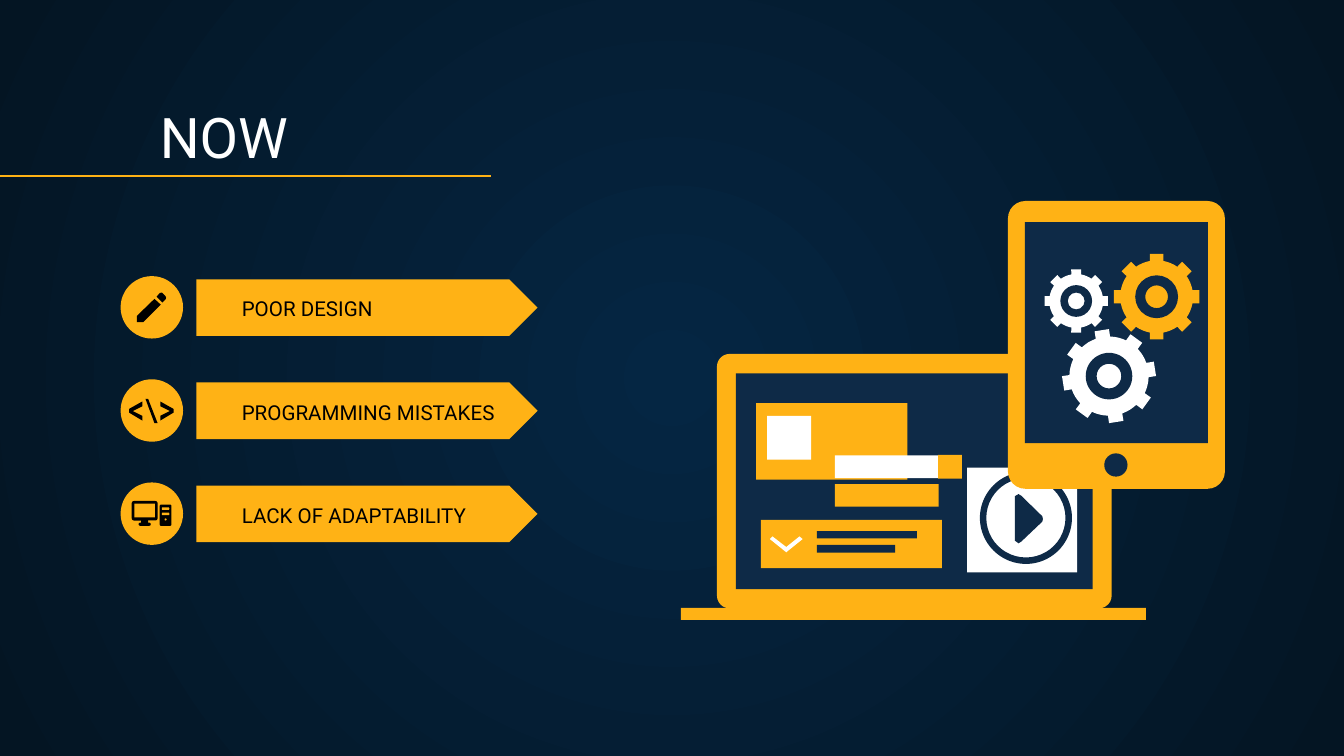
from dataclasses import dataclass
from math import asin, cos, radians, degrees, sin

from lxml import etree
from pptx import Presentation
from pptx import util as u
from pptx.dml.color import RGBColor
from pptx.enum import shapes, text
from pptx.oxml.ns import qn


@dataclass(frozen=True)
class Theme:
    amber: str = "FFB215"
    navy: str = "0E2A47"
    white: str = "FFFFFF"
    black: str = "000000"
    glow: str = "052643"
    edge: str = "041523"
    font: str = "Roboto"
    title_size: int = 30
    label_size: int = 11


theme = Theme()
kind = shapes.MSO_SHAPE

prs = Presentation()
prs.slide_width, prs.slide_height = u.Cm(25.4), u.Cm(14.29)
slide = prs.slides.add_slide(prs.slide_layouts[5])


def paint(shape, color):
    """Give a shape a flat fill with no outline or shadow."""
    shape.shadow.inherit = False
    shape.fill.solid()
    shape.fill.fore_color.rgb = RGBColor.from_string(color)
    shape.line.fill.background()


def preset(form, color, box, adjustment=None):
    """Draw a preset shape; box is left, top, width, height in cm."""
    shape = slide.shapes.add_shape(form, *[u.Cm(v) for v in box])
    if adjustment is not None:
        shape.adjustments[0] = adjustment
    paint(shape, color)


# Background: radial gradient, lighter in the middle
fill = slide.background.fill
fill.gradient()
for stop, color in zip(fill.gradient_stops, (theme.glow, theme.edge)):
    stop.color.rgb = RGBColor.from_string(color)
gradient = slide.element.find(".//" + qn("a:gradFill"))
gradient.remove(gradient.find(qn("a:lin")))
radial = etree.SubElement(gradient, qn("a:path"), path="circle")
etree.SubElement(radial, qn("a:fillToRect"), l="50000", t="50000", r="50000", b="50000")

# Arrows and icon discs, one row per problem
problems = ["POOR DESIGN", "PROGRAMMING MISTAKES", "LACK OF ADAPTABILITY"]
row_step = 1.95
labels = []
for row, problem in enumerate(problems):
    drop = row * row_step
    preset(kind.PENTAGON, theme.amber, (3.71, 5.28 + drop, 6.45, 1.07), 0.5)
    preset(kind.OVAL, theme.amber, (2.28, 5.22 + drop, 1.18, 1.18))
    label = slide.shapes.add_textbox(0, 0, 0, 0)
    labels.append((label, problem, (4.32, 5.79 + drop, 5.77, 0.53), theme.label_size, theme.black))

# Title and row labels
frame_format = {
    "word_wrap": True,
    "auto_size": text.MSO_AUTO_SIZE.NONE,
    "vertical_anchor": text.MSO_ANCHOR.BOTTOM,
    **{f"margin_{side}": u.Cm(0.25) for side in ("left", "top", "right", "bottom")},
}
heading = (slide.shapes.title, "NOW", (2.77, 1.78, 21.77, 1.68), theme.title_size, theme.white)
for holder, wording, box, size, color in [heading, *labels]:
    for side, value in zip(("left", "top", "width", "height"), box):
        setattr(holder, side, u.Cm(value))
    for name, value in frame_format.items():
        setattr(holder.text_frame, name, value)
    paragraph = holder.text_frame.paragraphs[0]
    paragraph.text = wording
    paragraph.alignment = text.PP_ALIGN.LEFT
    for name, value in {"name": theme.font, "size": u.Pt(size)}.items():
        setattr(paragraph.font, name, value)
    paragraph.font.color.rgb = RGBColor.from_string(color)

title_rule = slide.shapes.add_connector(
    shapes.MSO_CONNECTOR.STRAIGHT, 0, u.Cm(3.33), u.Cm(9.28), u.Cm(3.33))
title_rule.line.color.rgb = RGBColor.from_string(theme.amber)
title_rule.line.width = u.Pt(0.75)
etree.SubElement(title_rule.element.spPr, qn("a:effectLst"))

# Each part: form, colour, box, adjustment
parts = [
    # Desktop computer icon
    (kind.ROUNDED_RECTANGLE, theme.black, (2.49, 9.47, 0.49, 0.37), 0.12),
    (kind.RECTANGLE, theme.amber, (2.54, 9.52, 0.39, 0.26), None),
    (kind.RECTANGLE, theme.black, (2.67, 9.83, 0.13, 0.07), None),
    (kind.ROUNDED_RECTANGLE, theme.black, (2.62, 9.88, 0.23, 0.06), 0.5),
    (kind.ROUNDED_RECTANGLE, theme.black, (3.02, 9.54, 0.22, 0.4), 0.1),
    (kind.ROUNDED_RECTANGLE, theme.amber, (3.06, 9.59, 0.14, 0.05), 0.3),
    (kind.ROUNDED_RECTANGLE, theme.amber, (3.06, 9.69, 0.14, 0.05), 0.3),
    (kind.OVAL, theme.amber, (3.11, 9.8, 0.04, 0.04), None),
    # Laptop
    (kind.ROUNDED_RECTANGLE, theme.amber, (13.55, 6.69, 7.46, 4.81), 0.05),
    (kind.RECTANGLE, theme.navy, (13.91, 7.06, 6.74, 4.08), None),
    (kind.RECTANGLE, theme.amber, (12.87, 11.49, 8.79, 0.23), None),
    # Page blocks on the laptop
    (kind.RECTANGLE, theme.amber, (14.29, 7.62, 2.86, 1.45), None),
    (kind.RECTANGLE, theme.white, (14.5, 7.86, 0.83, 0.83), None),
    (kind.RECTANGLE, theme.amber, (14.38, 9.83, 3.42, 0.91), None),
    (kind.RECTANGLE, theme.navy, (15.44, 10.04, 1.89, 0.14), None),
    (kind.RECTANGLE, theme.navy, (15.44, 10.3, 1.48, 0.15), None),
    (kind.RECTANGLE, theme.amber, (15.78, 9.15, 1.96, 0.43), None),
    (kind.RECTANGLE, theme.white, (15.78, 8.61, 1.96, 0.43), None),
    (kind.RECTANGLE, theme.amber, (17.73, 8.6, 0.45, 0.45), None),
    # Video tile
    (kind.RECTANGLE, theme.white, (18.28, 8.84, 2.08, 1.98), None),
    (kind.DONUT, theme.navy, (18.52, 8.92, 1.74, 1.74), 0.07),
    # Tablet
    (kind.ROUNDED_RECTANGLE, theme.amber, (19.05, 3.8, 4.1, 5.44), 0.08),
    (kind.RECTANGLE, theme.navy, (19.37, 4.2, 3.46, 4.18), None),
    (kind.OVAL, theme.navy, (20.87, 8.57, 0.44, 0.44), None),
]
for part in parts:
    preset(*part)

# Outlines in cm
pencil_end = [(3.02, 5.54), (2.96, 5.61), (3.07, 5.72), (3.13, 5.66),
              (3.14, 5.63), (3.13, 5.6), (3.06, 5.53)]
pencil_body = [(2.92, 5.65), (2.59, 5.97), (2.59, 6.09), (2.71, 6.09), (3.04, 5.76)]
less_than = [(2.69, 7.95), (2.44, 7.8), (2.44, 7.73), (2.69, 7.59),
             (2.69, 7.68), (2.51, 7.77), (2.69, 7.86)]
greater_than = [(5.72 - x, y) for x, y in less_than]
backslash = [(2.92, 8), (2.75, 7.54), (2.8, 7.54), (2.98, 8)]
chevron = [(14.6, 10.14), (14.86, 10.34), (15.11, 10.14),
           (15.17, 10.19), (14.86, 10.44), (14.55, 10.19)]
play = [(19.18, 9.38), (19.25, 9.34), (19.3, 9.37), (19.7, 9.76), (19.71, 9.81),
        (19.7, 9.86), (19.3, 10.24), (19.25, 10.27), (19.18, 10.22)]
outlines = [(theme.black, icon) for icon in
            (pencil_end, pencil_body, less_than, greater_than, backslash)]
outlines += [(theme.white, chevron), (theme.navy, play)]

# Gears: one tooth and the gap after it, as (radius, angle), turned eight times
root, tooth_half = 0.85, 0.155
tip_angle, root_angle = degrees(asin(tooth_half)), degrees(asin(tooth_half / root))
tooth = [(root, -root_angle), (1.01, -tip_angle), (1.01, tip_angle), (root, root_angle),
         (root, 16.5), (root, 22.5), (root, 28.5)]
gears = [  # colour, centre x, centre y, radius, tilt
    (theme.amber, 21.86, 5.61, 0.81, 0),
    (theme.white, 20.34, 5.69, 0.6, 0),
    (theme.white, 20.96, 7.11, 0.88, -9),
]
for color, x, y, radius, tilt in gears:
    outlines.append((color, [
        (x + radius * reach * sin(radians(turn + angle + tilt)),
         y - radius * reach * cos(radians(turn + angle + tilt)))
        for turn in range(0, 360, 45) for reach, angle in tooth]))

for color, points in outlines:
    start, *rest = [(x * 1000, y * 1000) for x, y in points]
    builder = slide.shapes.build_freeform(*start, scale=u.Cm(0.001))
    builder.add_line_segments(rest, close=True)
    paint(builder.convert_to_shape(), color)

for _, x, y, radius, _ in gears:
    preset(kind.DONUT, theme.navy, (x - radius / 2, y - radius / 2, radius, radius), 0.235)

prs.save("out.pptx")
